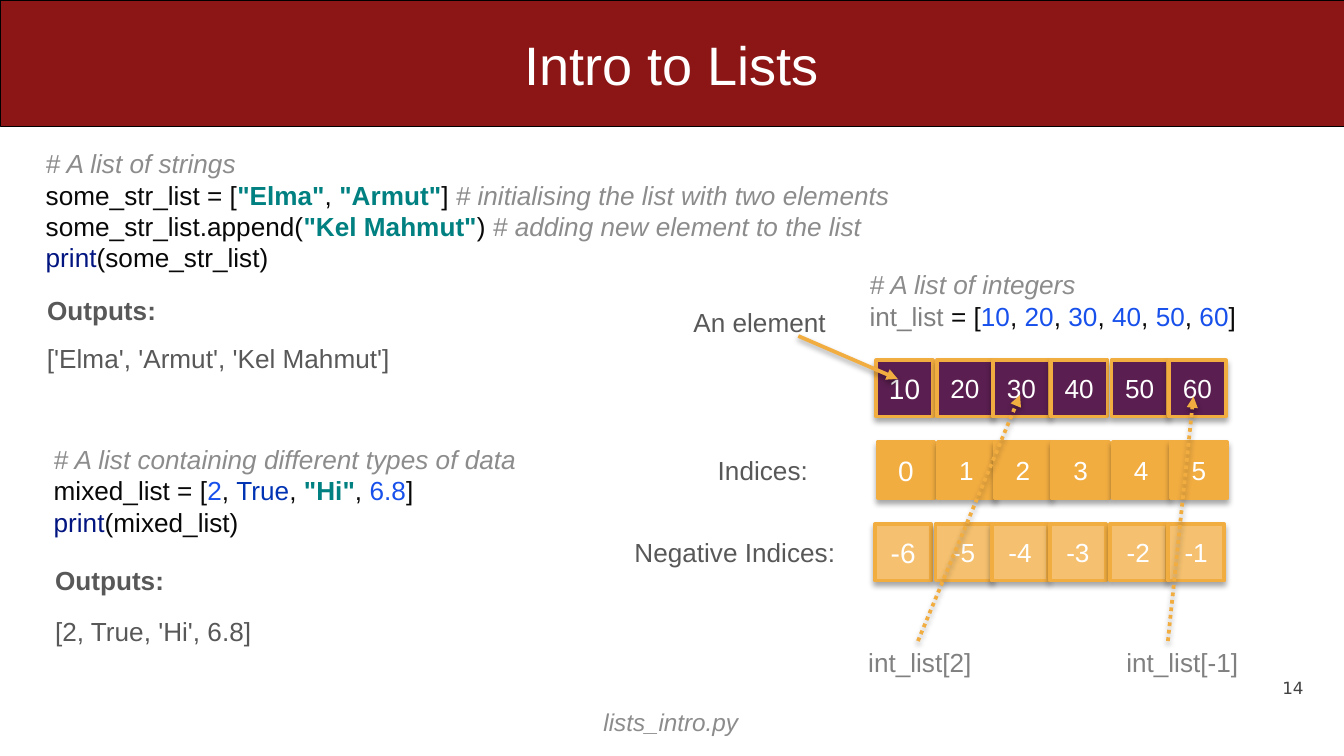
from lxml import etree
from pptx import Presentation
from pptx.dml.color import RGBColor
from pptx.enum.dml import MSO_LINE
from pptx.enum.shapes import MSO_CONNECTOR, MSO_SHAPE
from pptx.enum.text import MSO_ANCHOR, MSO_AUTO_SIZE, PP_ALIGN
from pptx.oxml.ns import qn
from pptx.util import Pt

SCALE = 9144
RECTANGLE = MSO_SHAPE.RECTANGLE
STRAIGHT = MSO_CONNECTOR.STRAIGHT
DOTTED = MSO_LINE.ROUND_DOT
LEFT, CENTER, RIGHT = PP_ALIGN.LEFT, PP_ALIGN.CENTER, PP_ALIGN.RIGHT
TOP, MIDDLE, BOTTOM = MSO_ANCHOR.TOP, MSO_ANCHOR.MIDDLE, MSO_ANCHOR.BOTTOM
NO_AUTOFIT = MSO_AUTO_SIZE.NONE

FONT = "Arial"
CRIMSON, BLACK, WHITE = "8C1515", "000000", "FFFFFF"
PURPLE, AMBER, PALE_AMBER = "5A1E50", "F2AD41", "F5C170"
BODY_GRAY, NAME_GRAY, COMMENT_GRAY = "585858", "808080", "8C8C8C"

TOKENS = {
    "comment": {"color": COMMENT_GRAY, "italic": True},
    "plain": {"color": "080808"},
    "string": {"color": "008080", "bold": True},
    "number": {"color": "1750EB"},
    "keyword": {"color": "0033B3"},
    "builtin": {"color": "011480"},
    "name": {"color": NAME_GRAY},
}

STRING_CODE = [
    [("# A list of strings", "comment")],
    [("some_str_list = [", "plain"), ('"Elma"', "string"), (", ", "plain"),
     ('"Armut"', "string"), ("] ", "plain"),
     ("# initialising the list with two elements", "comment")],
    [("some_str_list.append(", "plain"), ('"Kel Mahmut"', "string"),
     (") ", "plain"), ("# adding new element to the list", "comment")],
    [("print", "builtin"), ("(some_str_list)", "plain")],
]
MIXED_CODE = [
    [("# A list containing different types of data", "comment")],
    [("mixed_list = [", "plain"), ("2", "number"), (", ", "plain"),
     ("True", "keyword"), (", ", "plain"), ('"Hi"', "string"),
     (", ", "plain"), ("6.8", "number"), ("]", "plain")],
    [("print", "builtin"), ("(mixed_list)", "plain")],
]
NUMBERS = ["10", "20", "30", "40", "50", "60"]
CELL_SIZE = 42
CELL_OFFSETS = [0, 45, 87, 130, 175, 218]
CELL_ROWS = [
    (185, 73, PURPLE, NUMBERS),
    (186, 134, AMBER, range(6)),
    (184, 195, PALE_AMBER, range(-6, 0)),
]


def px(*lengths):
    return [length * SCALE for length in lengths]


def rgb(color):
    return RGBColor.from_string(color)


def add_span(para, text, color=BODY_GRAY, size=14, bold=False, italic=False,
             font=FONT):
    span = para.add_run()
    span.text = text
    span.font.name = font
    span.font.size = Pt(size)
    span.font.bold = bold
    span.font.italic = italic
    span.font.color.rgb = rgb(color)


def set_frame(frame, anchor=TOP, wrap=False, inset=5):
    frame.auto_size = NO_AUTOFIT
    frame.word_wrap = wrap
    frame.vertical_anchor = anchor
    frame.margin_left = frame.margin_right = inset * SCALE
    frame.margin_top = frame.margin_bottom = inset * SCALE


def write(shape, text, align=LEFT, anchor=TOP, wrap=False, inset=5, **style):
    set_frame(shape.text_frame, anchor, wrap, inset)
    para = shape.text_frame.paragraphs[0]
    para.alignment = align
    add_span(para, text, **style)


def add_text(page, box, text, **style):
    write(page.shapes.add_textbox(*px(*box)), text, **style)


def add_code(page, box, lines, wrap=True):
    frame = page.shapes.add_textbox(*px(*box)).text_frame
    set_frame(frame, wrap=wrap)
    for index, line in enumerate(lines):
        para = frame.add_paragraph() if index else frame.paragraphs[0]
        for text, token in line:
            add_span(para, text, **TOKENS[token])


def add_shadow(properties):
    effects = properties.find(qn("a:effectLst"))
    if effects is None:
        effects = etree.SubElement(properties, qn("a:effectLst"))
    shadow = etree.SubElement(effects, qn("a:outerShdw"), blurRad="38100",
                              dist="22860", dir="5400000", rotWithShape="0")
    color = etree.SubElement(shadow, qn("a:srgbClr"), val=BLACK)
    etree.SubElement(color, qn("a:alpha"), val="35000")


def add_box(page, box, fill, line, width):
    shape = page.shapes.add_shape(RECTANGLE, *px(*box))
    shape.shadow.inherit = False
    shape.fill.solid()
    shape.fill.fore_color.rgb = rgb(fill)
    shape.line.color.rgb = rgb(line)
    shape.line.width = Pt(width)
    return shape


def add_arrow(page, start, end, dash=None):
    arrow = page.shapes.add_connector(STRAIGHT, *px(*start, *end))
    arrow.line.color.rgb = rgb(AMBER)
    arrow.line.width = Pt(2)
    if dash:
        arrow.line.dash_style = dash
    properties = arrow._element.spPr
    etree.SubElement(properties.find(qn("a:ln")), qn("a:tailEnd"),
                     type="triangle")
    add_shadow(properties)


def add_header(page, box, text):
    left, top, width, height = box
    band = add_box(page, box, CRIMSON, BLACK, 0.25)
    title = page.shapes.title
    title._element.addprevious(band._element)
    title.left, title.top, title.width, title.height = px(
        left + 385, top + 18, 231, 59)
    write(title, text, color=WHITE, size=29)


def add_example(page, box, lines, output, heading_top, output_top, output_width):
    left, top, width, height = box
    add_code(page, box, lines)
    add_text(page, (left + 1, top + heading_top, 92, 34), "Outputs:", bold=True)
    add_text(page, (left + 1, top + output_top, output_width, 57), output)


def add_cells(page, left, top, fill, values):
    for index, (offset, value) in enumerate(zip(CELL_OFFSETS, values)):
        cell = add_box(page, (left + offset, top, CELL_SIZE, CELL_SIZE),
                       fill, AMBER, 2)
        add_shadow(cell._element.spPr)
        write(cell, str(value), align=CENTER, anchor=MIDDLE, wrap=True,
              color=WHITE, size=14 if index else 15)


def add_index_diagram(page, box):
    left, top, width, height = box
    number_line = [("int_list ", "name"), ("= [", "plain")]
    for index, number in enumerate(NUMBERS):
        if index:
            number_line.append((", ", "plain"))
        number_line.append((number, "number"))
    number_line.append(("]", "plain"))
    add_code(page, (left + 175, top, 283, 81),
             [[("# A list of integers", "comment")], number_line], wrap=False)

    for row_left, row_top, fill, values in CELL_ROWS:
        add_cells(page, left + row_left, top + row_top, fill, values)

    labels = [
        (44, 28, 110, "An element", BODY_GRAY),
        (62, 138, 78, "Indices:", BODY_GRAY),
        (0, 199, 168, "Negative Indices:", BODY_GRAY),
        (174, 281, 88, "int_list[2]", NAME_GRAY),
        (366, 281, 95, "int_list[-1]", NAME_GRAY),
    ]
    for x, y, label_width, text, color in labels:
        add_text(page, (left + x, top + y, label_width, 34), text,
                 wrap=label_width > 150, color=color)

    arrows = [
        (127, 55, 201, 87, None),
        (216, 282, 292, 99, DOTTED),
        (402, 282, 421, 100, DOTTED),
    ]
    for x1, y1, x2, y2, dash in arrows:
        add_arrow(page, (left + x1, top + y1), (left + x2, top + y2), dash)


def add_footer(page, box):
    left, top, width, height = box
    add_text(page, (left + 444, top + 17, 112, 32), "lists_intro.py",
             color=COMMENT_GRAY, size=13, italic=True)
    add_text(page, (left + 953, top, 17, 15), "14", align=RIGHT, anchor=BOTTOM,
             inset=0, color="424242", size=9, font="DejaVu Sans")


def main():
    deck = Presentation()
    deck.slide_width = 1000 * SCALE
    deck.slide_height = deck.slide_width * 9 // 16
    page = deck.slides.add_slide(deck.slide_layouts.get_by_name("Title Only"))
    add_header(page, (0, 0, 1000, 94), "Intro to Lists")
    add_example(page, (29, 105, 665, 128), STRING_CODE,
                "['Elma', 'Armut', 'Kel Mahmut']", 109, 145, 266)
    add_example(page, (35, 325, 430, 104), MIXED_CODE,
                "[2, True, 'Hi', 6.8]", 90, 128, 157)
    add_index_diagram(page, (467, 195, 461, 315))
    add_footer(page, (0, 504, 1000, 58))
    deck.save("out.pptx")


if __name__ == "__main__":
    main()
